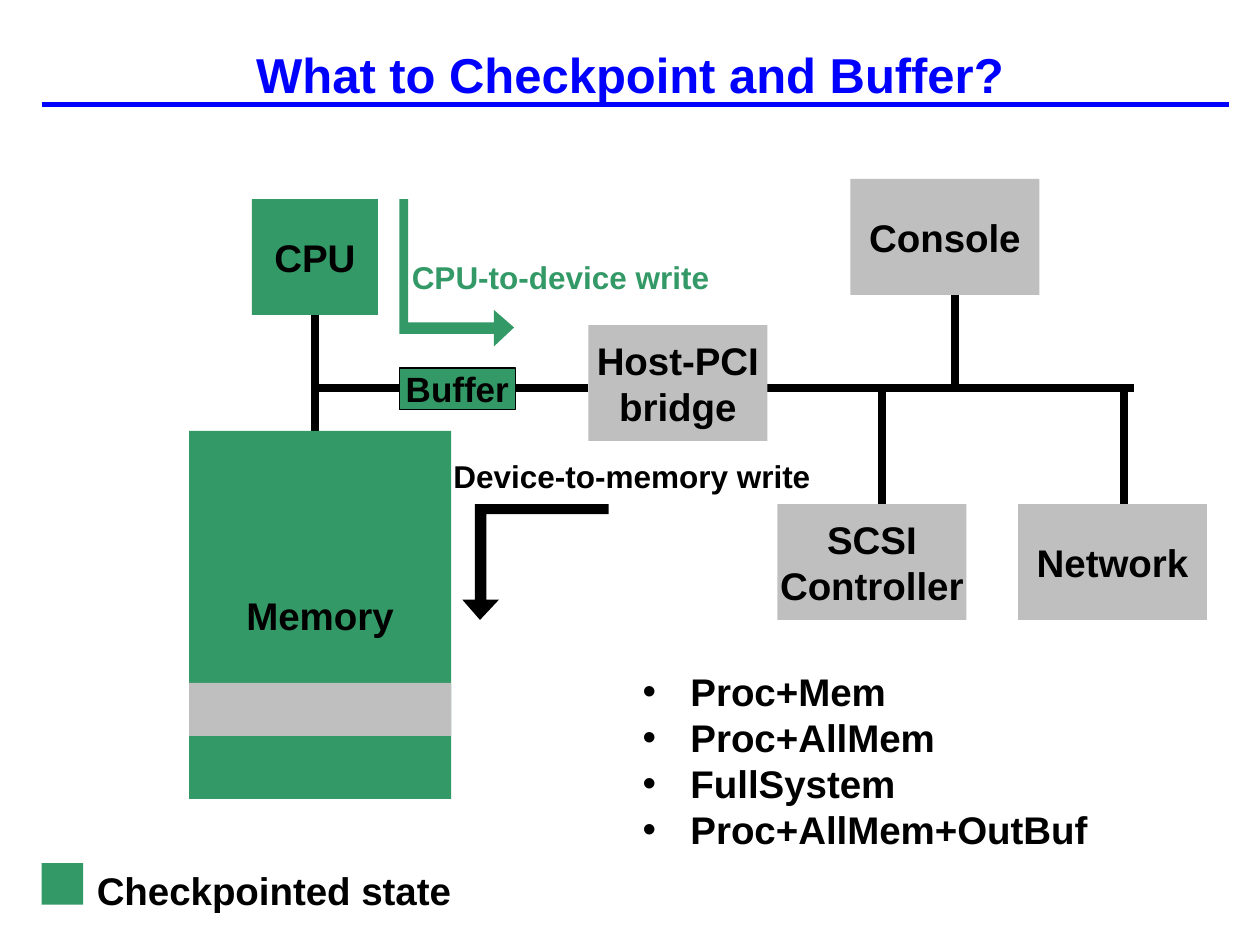
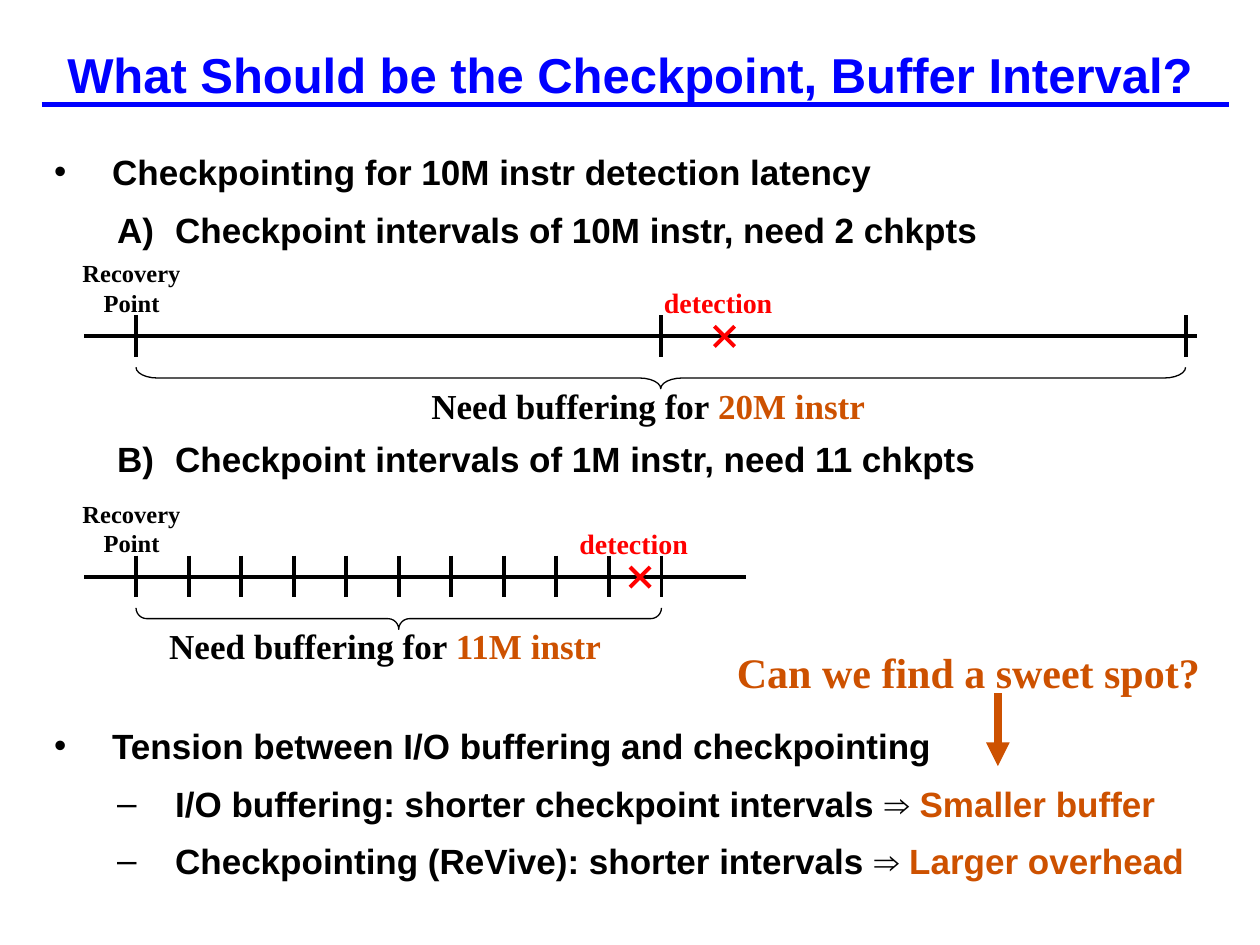
"""Build two slides on checkpointing and buffering."""
from dataclasses import dataclass

from lxml import etree
from pptx import Presentation
from pptx.dml.color import RGBColor
from pptx.enum.shapes import MSO_CONNECTOR, MSO_SHAPE
from pptx.enum.text import MSO_ANCHOR, MSO_AUTO_SIZE, PP_ALIGN
from pptx.oxml.ns import qn
from pptx.util import Inches, Pt

STRAIGHT = MSO_CONNECTOR.STRAIGHT
RECTANGLE = MSO_SHAPE.RECTANGLE
BRACE = MSO_SHAPE.LEFT_BRACE
MIDDLE = MSO_ANCHOR.MIDDLE
TOP = MSO_ANCHOR.TOP
NO_AUTOFIT = MSO_AUTO_SIZE.NONE
LEFT = PP_ALIGN.LEFT
CENTER = PP_ALIGN.CENTER


@dataclass(frozen=True)
class Theme:
    """Colours, fonts, type sizes and line widths in points."""
    blue: str = "0000FF"
    green: str = "339966"
    gray: str = "BFBFBF"
    black: str = "000000"
    orange: str = "CD5100"
    red: str = "FF0000"
    sans: str = "Arial"
    serif: str = "Times New Roman"
    title: float = 28
    question: float = 24
    diagram: float = 22
    body: float = 20
    arrow_label: float = 18
    detection: float = 16
    recovery: float = 14
    rule: float = 3
    wire: float = 4.5
    axis: float = 2.25
    thin: float = 0.75


THEME = Theme()


def style_runs(paragraph, size, font, colors):
    """Make every run bold, with one colour for each run."""
    for run, color in zip(paragraph.runs, colors):
        values = {"size": Pt(size), "name": font, "bold": True}
        for name, value in values.items():
            setattr(run.font, name, value)
        run.font.color.rgb = RGBColor.from_string(color)


def write(frame, lines, size, font, color, align=LEFT, anchor=TOP, wrap=True):
    """Fill a text frame with lines, each a list of (text, colour) runs or a string."""
    values = {"auto_size": NO_AUTOFIT, "word_wrap": wrap, "vertical_anchor": anchor}
    for name, value in values.items():
        setattr(frame, name, value)
    for index, line in enumerate(lines):
        paragraph = frame.add_paragraph() if index else frame.paragraphs[0]
        paragraph.alignment = align
        runs = [(line, color)] if isinstance(line, str) else line
        for text, _ in runs:
            paragraph.add_run().text = text
        style_runs(paragraph, size, font, [run_color for _, run_color in runs])


def add_label(shapes, box, lines, size, font, color, align=LEFT):
    """Add a text box."""
    label = shapes.add_textbox(*map(Inches, box))
    write(label.text_frame, lines, size, font, color, align)


def add_line(shapes, start, end, color, width, arrow=False):
    """Add a straight line, with an arrowhead at its end if asked."""
    line = shapes.add_connector(STRAIGHT, *map(Inches, (*start, *end)))
    line.line.color.rgb = RGBColor.from_string(color)
    line.line.width = Pt(width)
    if arrow:
        etree.SubElement(line.line._get_or_add_ln(), qn("a:tailEnd"), type="triangle")
    etree.SubElement(line.element.spPr, qn("a:effectLst"))
    return line


def paint(shape, fill, outline=None):
    """Give a shape a plain fill and an optional thin outline."""
    shape.shadow.inherit = False
    if fill:
        shape.fill.solid()
        shape.fill.fore_color.rgb = RGBColor.from_string(fill)
    else:
        shape.fill.background()
    if outline:
        shape.line.color.rgb = RGBColor.from_string(outline)
        shape.line.width = Pt(THEME.thin)
    else:
        shape.line.fill.background()


def add_block(shapes, box, fill, lines=(), size=THEME.diagram, outline=None):
    """Add a filled rectangle with centred text."""
    block = shapes.add_shape(RECTANGLE, *map(Inches, box))
    paint(block, fill, outline)
    write(block.text_frame, lines, size, THEME.sans, THEME.black, CENTER, MIDDLE, False)


def add_bent_arrow(shapes, left, top, points, color):
    """Add a bent arrow whose points are relative to its corner."""
    corners = [(Inches(left + x), Inches(top + y)) for x, y in points]
    builder = shapes.build_freeform(*corners[0])
    builder.add_line_segments(corners[1:], close=True)
    paint(builder.convert_to_shape(), color)


def set_bullet(paragraph, margin, hanging, tag, **attributes):
    """Give a paragraph a hanging indent and a bullet."""
    properties = paragraph._p.get_or_add_pPr()
    properties.set("marL", str(Inches(margin)))
    properties.set("indent", str(-Inches(hanging)))
    etree.SubElement(properties, qn(tag), attributes)


def add_titled_slide(presentation, title):
    """Add a slide with the shared title style."""
    slide = presentation.slides.add_slide(presentation.slide_layouts[1])
    place(slide.shapes.title, (0, 0.17, 10, 0.83))
    write(slide.shapes.title.text_frame, [title], THEME.title, THEME.sans,
          THEME.blue, CENTER, MIDDLE)
    return slide


def place(shape, box):
    """Move a shape to a box."""
    for name, value in zip(("left", "top", "width", "height"), box):
        setattr(shape, name, Inches(value))


def add_title_rule(presentation, slide):
    """Put the line under the title on the slide master."""
    rule = add_line(slide.shapes, (0.33, 0.83), (9.75, 0.83), THEME.blue, THEME.rule)
    presentation.slide_master.shapes.element.append(rule.element)


def draw_system(shapes, left, top):
    """Draw the machine: wires, then blocks, then the two write paths."""
    def at(x, y, *size):
        return (left + x, top + y, *size)

    bus = 1.66
    wires = [(1, 1.08, 1, 2), (1, bus, 3.17, bus), (4.5, bus, 7.5, bus),
             (5.5, bus, 5.5, 2.58), (7.42, bus, 7.42, 2.58), (6.08, 0.75, 6.08, bus)]
    for x1, y1, x2, y2 in wires:
        add_line(shapes, at(x1, y1), at(x2, y2), THEME.black, THEME.wire)

    blocks = [
        ((0.5, 0.16, 1, 0.92), THEME.green, ["CPU"]),
        ((0, 2, 2.08, 2.92), THEME.green, ["Memory"]),
        ((0, 4, 2.08, 0.42), THEME.gray, []),
        ((3.17, 1.16, 1.42, 0.92), THEME.gray, ["Host-PCI", "bridge"]),
        ((5.25, 0, 1.5, 0.92), THEME.gray, ["Console"]),
        ((4.67, 2.58, 1.5, 0.92), THEME.gray, ["SCSI", "Controller"]),
        ((6.58, 2.58, 1.5, 0.92), THEME.gray, ["Network"]),
    ]
    for box, fill, lines in blocks:
        add_block(shapes, at(*box), fill, lines)
    add_block(shapes, at(1.67, 1.5, 0.92, 0.33), THEME.green, ["Buffer"],
              THEME.body, THEME.black)

    to_memory = [(0.14, 0.92), (0.29, 0.76), (0.19, 0.76), (0.19, 0.08), (1.16, 0.08),
                 (1.16, 0), (0.1, 0), (0.1, 0.76), (0, 0.76)]
    to_device = [(0.91, 1.02), (0.75, 0.88), (0.75, 0.98), (0.07, 0.98), (0.07, 0),
                 (0, 0), (0, 1.07), (0.75, 1.07), (0.75, 1.17)]
    add_bent_arrow(shapes, *at(2.17, 2.58), to_memory, THEME.black)
    add_bent_arrow(shapes, *at(1.67, 0.16), to_device, THEME.green)
    labels = [((2, 2.16, 3.25, 0.4), "Device-to-memory write", THEME.black),
              ((1.67, 0.58, 2.67, 0.4), "CPU-to-device write", THEME.green)]
    for box, text, color in labels:
        add_label(shapes, at(*box), [text], THEME.arrow_label, THEME.sans, color)


def draw_legend(shapes, left, top):
    """Draw the key for the green blocks."""
    add_block(shapes, (left, top, 0.33, 0.33), THEME.green)
    add_label(shapes, (left + 0.34, top - 0.02, 3.06, 0.47), ["Checkpointed state"],
              THEME.diagram, THEME.sans, THEME.black)


def fill_scheme_list(body, box):
    """Fill the list of checkpointing schemes."""
    place(body, box)
    schemes = ["Proc+Mem", "Proc+AllMem", "FullSystem", "Proc+AllMem+OutBuf"]
    write(body.text_frame, schemes, THEME.diagram, THEME.sans, THEME.black)
    for paragraph in body.text_frame.paragraphs:
        paragraph.space_before = Pt(0)
        set_bullet(paragraph, 0.38, 0.38, "a:buChar", char="\u2022")


def fill_interval_list(body, box):
    """Fill the interval list, with room left for the timelines."""
    place(body, box)
    dot = ("a:buChar", {"char": "\u2022"})
    dash = ("a:buChar", {"char": "\u2013"})
    letter = ("a:buAutoNum", {"type": "alphaUcParenR"})
    gap, row = 4, 32.8
    items = [
        (0, dot, 0, "Checkpointing for 10M instr detection latency"),
        (1, letter, 0, "Checkpoint intervals of 10M instr, need 2 chkpts"),
        (1, letter, 3, "Checkpoint intervals of 1M instr, need 11 chkpts"),
        (0, dot, 4, "Tension between I/O buffering and checkpointing"),
        (1, dash, 0, [("I/O buffering: shorter checkpoint intervals \u21d2 ", THEME.black),
                      ("Smaller buffer", THEME.orange)]),
        (1, dash, 0, [("Checkpointing (ReVive): shorter intervals \u21d2 ", THEME.black),
                      ("Larger overhead", THEME.orange)]),
    ]
    write(body.text_frame, [item[-1] for item in items], THEME.body, THEME.sans, THEME.black)
    for paragraph, (level, (tag, attributes), rows, _) in zip(
            body.text_frame.paragraphs, items):
        values = {"level": level, "line_spacing": 1.2, "space_before": Pt(gap + rows * row)}
        for name, value in values.items():
            setattr(paragraph, name, value)
        set_bullet(paragraph, 0.46 + 0.5 * level, 0.46, tag, **attributes)


def draw_timeline(slide, left, axis, length, intervals, span, detection, amount):
    """Draw a timeline with checkpoints, a detection mark and a buffering brace."""
    shapes = slide.shapes.add_group_shape().shapes
    first = left + 0.41
    middle = first + span / 2
    add_line(shapes, (left, axis), (left + length, axis), THEME.black, THEME.axis)
    for index in range(intervals + 1):
        x = first + span * index / intervals
        add_line(shapes, (x, axis - 0.17), (x, axis + 0.16), THEME.black, THEME.axis)

    mark, arm = left + detection, 0.08
    for rise in (arm, -arm):
        add_line(shapes, (mark - arm, axis - rise), (mark + arm, axis + rise),
                 THEME.red, THEME.axis)

    depth = 0.17
    brace = shapes.add_shape(BRACE, *map(Inches, (
        middle - depth / 2, axis + 0.33 - span / 2, depth, span)))
    paint(brace, None, THEME.black)
    brace.rotation = 270
    brace.adjustments[0] = 0.12 * span
    brace.adjustments[1] = 0.5

    add_label(shapes, (left - 0.16, axis - 0.67, 1.07, 0.57), ["Recovery", "Point"],
              THEME.recovery, THEME.serif, THEME.black, CENTER)
    add_label(shapes, (mark - 0.58, axis - 0.45, 1.19, 0.37), ["detection"],
              THEME.detection, THEME.serif, THEME.red)
    add_label(shapes, (middle - 1.92, axis + 0.33, 3.9, 0.43),
              [[("Need buffering for ", THEME.black), (amount, THEME.orange)]],
              THEME.body, THEME.serif, THEME.black)


def draw_question(slide, left, top):
    """Draw the closing question and its arrow."""
    shapes = slide.shapes.add_group_shape().shapes
    add_label(shapes, (left, top, 4.03, 0.47), ["Can we find a sweet spot?"],
              THEME.question, THEME.serif, THEME.orange)
    add_line(shapes, (left + 2.17, top + 0.42), (left + 2.17, top + 1),
             THEME.orange, THEME.wire, arrow=True)


def main():
    """Build and save the presentation."""
    presentation = Presentation()
    presentation.slide_width = Inches(10)
    presentation.slide_height = Inches(7.5)

    system = add_titled_slide(presentation, "What to Checkpoint and Buffer?")
    add_title_rule(presentation, system)
    draw_system(system.shapes, 1.5, 1.42)
    draw_legend(system.shapes, 0.33, 6.85)
    fill_scheme_list(system.placeholders[1], (5, 5.25, 3.91, 1.58))

    interval = add_titled_slide(
        presentation, "What Should be the Checkpoint, Buffer Interval?")
    fill_interval_list(interval.placeholders[1], (0.33, 1.08, 9.42, 6.08))
    draw_timeline(interval, 0.67, 2.67, 8.83, 2, 8.33, 5.08, "20M instr")
    draw_timeline(interval, 0.67, 4.58, 5.25, 10, 4.17, 4.41, "11M instr")
    draw_question(interval, 5.75, 5.08)

    presentation.save("out.pptx")


main()
